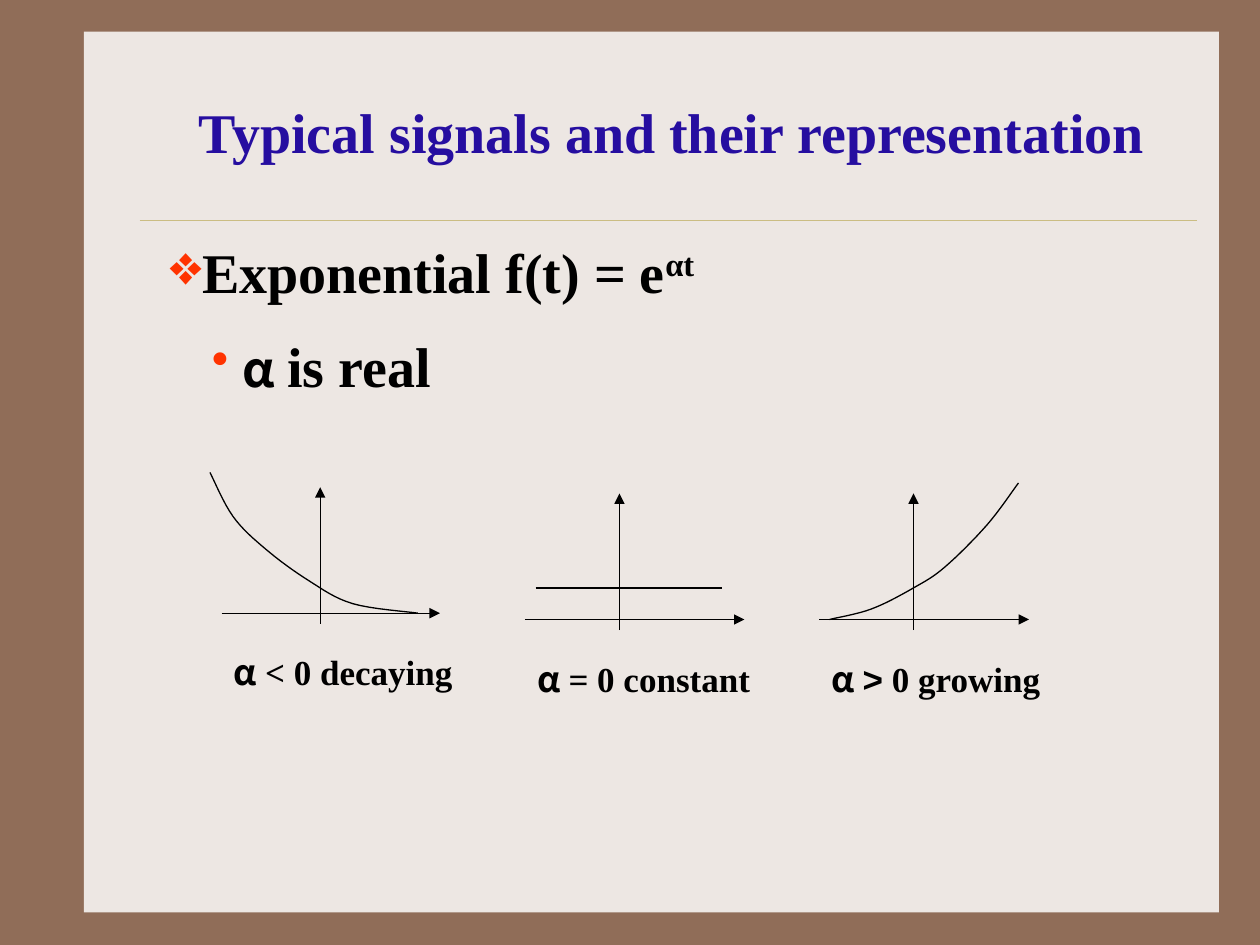
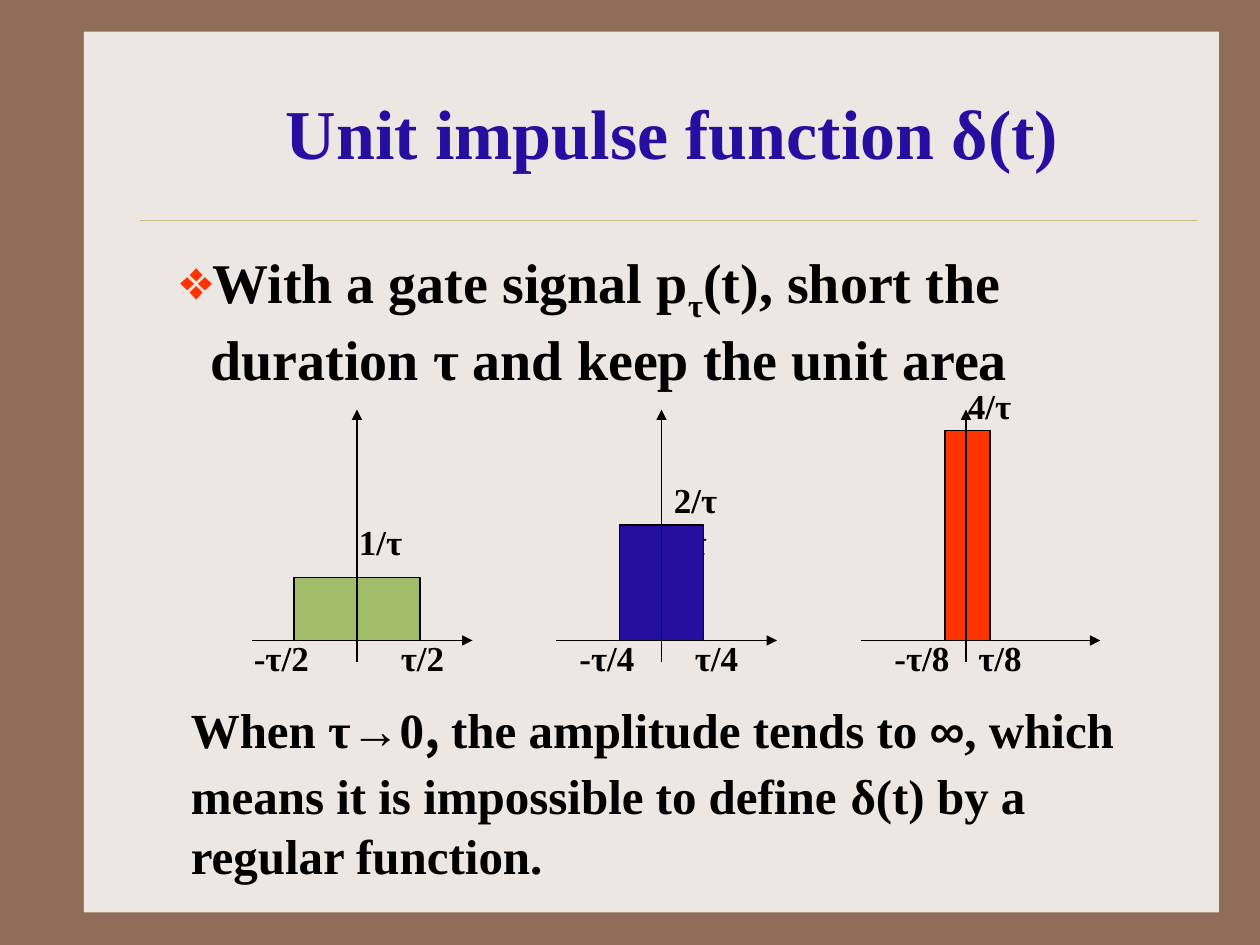
from lxml.etree import SubElement
from pptx import Presentation
from pptx.dml.color import RGBColor
from pptx.enum.shapes import MSO_CONNECTOR, MSO_SHAPE
from pptx.enum.text import MSO_ANCHOR, MSO_AUTO_SIZE, PP_ALIGN
from pptx.oxml.ns import qn
from pptx.util import Inches, Pt

# Shared style
BROWN, PAPER, GOLD = "906D58", "EDE7E3", "CBBD83"
BLUE, RED, GREEN, BLACK = "260EA0", "FF3300", "A1BD69", "000000"
SERIF, SANS = "Times New Roman", "Arial"
KOREAN, CHINESE = "Noto Sans CJK KR", "Noto Sans CJK SC"


def color(code):
    return RGBColor.from_string(code)


def unit(cells):
    """Length on a grid of 120 columns by 90 rows, 12 to the inch."""
    return Inches(cells / 12)


def bend(points, steps=8):
    """Smooth path through all points (Catmull-Rom)."""
    ends = [points[0], *points, points[-1]]
    path = [points[0]]
    for a, b, c, d in zip(ends, ends[1:], ends[2:], ends[3:]):
        for step in range(1, steps + 1):
            t = step / steps
            path.append(tuple(
                q + t / 2 * (r - p + t * (2 * p - 5 * q + 4 * r - s
                                          + t * (3 * (q - r) + s - p)))
                for p, q, r, s in zip(a, b, c, d)))
    return path


class Deck:
    def __init__(self):
        self.file = Presentation()
        self.file.slide_width, self.file.slide_height = unit(120), unit(90)

    def page(self, title, size):
        """Start a slide with its frame, rule and title."""
        self.slide = self.file.slides.add_slide(self.file.slide_layouts[6])
        fill = self.slide.background.fill
        fill.solid()
        fill.fore_color.rgb = color(BROWN)
        self.rect(8, 3, 108.1, 83.9, PAPER)
        self.line((13.3, 21), (114, 21), GOLD, 0.25)
        self.text(14, 5, 100, 15, [(title,)], size, ink=BLUE, center=True)

    def rect(self, x, y, w, h, fill, edge=None):
        box = self.slide.shapes.add_shape(
            MSO_SHAPE.RECTANGLE, unit(x), unit(y), unit(w), unit(h))
        box.shadow.inherit = False
        box.fill.solid()
        box.fill.fore_color.rgb = color(fill)
        if edge:
            self.pen(box.line, edge)
        else:
            box.line.fill.background()

    def pen(self, line, ink=BLACK, width=0.75):
        line.color.rgb = color(ink)
        line.width = Pt(width)

    def line(self, start, end, ink=BLACK, width=0.75, arrow=False):
        rule = self.slide.shapes.add_connector(
            MSO_CONNECTOR.STRAIGHT, *map(unit, start + end))
        self.pen(rule.line, ink, width)
        if arrow:
            SubElement(rule.line._get_or_add_ln(), qn("a:tailEnd"), type="triangle")
        SubElement(rule._element.spPr, qn("a:effectLst"))

    def arrow(self, start, end):
        self.line(start, end, arrow=True)

    def curve(self, points):
        path = [(unit(x), unit(y)) for x, y in bend(points)]
        maker = self.slide.shapes.build_freeform(*path[0])
        maker.add_line_segments(path[1:], close=False)
        shape = maker.convert_to_shape()
        shape.shadow.inherit = False
        shape.fill.background()
        self.pen(shape.line)

    def text(self, x, y, w, h, runs, size, ink=BLACK, before=0,
             bullet=None, center=False):
        """Runs are (text, font, size, baseline); all but text optional."""
        box = self.slide.shapes.add_textbox(unit(x), unit(y), unit(w), unit(h))
        frame = box.text_frame
        frame.word_wrap = True
        para = frame.paragraphs[0]
        if center:
            frame.vertical_anchor = MSO_ANCHOR.MIDDLE
            para.alignment = PP_ALIGN.CENTER
        else:
            frame.auto_size = MSO_AUTO_SIZE.SHAPE_TO_FIT_TEXT
        para.space_before = Pt(before)
        if bullet:
            self.mark(para, bullet)
        font = para.font
        font.name, font.size, font.bold = SERIF, Pt(size), True
        font.color.rgb = color(ink)
        for words, name, points, base in (
                (*run, None, None, None)[:4] for run in runs):
            run = para.add_run()
            run.text = words
            if name:
                run.font.name = name
            if points:
                run.font.size = Pt(points)
            if base:
                run._r.get_or_add_rPr().set("baseline", str(base * 1000))

    def mark(self, para, sign):
        props = para._p.get_or_add_pPr()
        props.set("marL", str(Inches(0.24)))
        props.set("indent", str(-Inches(0.24)))
        ink = SubElement(props, qn("a:buClr"))
        SubElement(ink, qn("a:srgbClr"), val=RED)
        SubElement(props, qn("a:buChar"), char=sign)

    def label(self, x, y, *runs, w=12):
        self.text(x, y, w, 5.3, runs, 20, before=12.5)


def signals(deck):
    deck.page("Typical signals and their representation", 32)
    deck.text(15, 22, 98, 7.7, [("Exponential f(t) = e",), ("αt", None, None, 30)],
              32, before=8, bullet="❖")
    deck.text(19, 31, 77, 7.7, [("α", KOREAN, 28), (" ", KOREAN), ("is real",)],
              32, before=8, bullet="•")

    # Axes and captions: left, right, base, middle, caption
    plots = [
        (21.1, 41.9, 58.4, 30.5, [("< 0 decaying",)]),
        (50, 70.9, 59, 59, [("= 0 constant",)]),
        (78, 98, 59, 87, [(">", SANS), (" 0 growing",)]),
    ]
    for left, right, base, mid, note in plots:
        deck.arrow((left, base), (right, base))
        deck.arrow((mid, base + 1), (mid, base - 12))
        deck.label(left, base + 3, ("α ", KOREAN), *note, w=24)

    # Signal curves
    deck.curve([(39.8, 58.4), (33.6, 57.5), (29.4, 55.3),
                (25.3, 52.3), (22.2, 49.2), (20, 45)])
    deck.line((51, 56), (68.8, 56))
    deck.curve([(79, 59), (83, 58), (87, 56), (90, 54), (94, 50), (97, 46)])


def impulse(deck):
    deck.page("Unit impulse function δ(t)", 40)
    deck.text(16, 23, 97, 14.9, [
        ("With a gate signal p",), ("τ", None, None, -25),
        ("(t), short the duration τ and keep the unit area",)],
        32, before=8, bullet="❖")
    deck.text(17, 66, 93, 18.8, [
        ("When τ",), ("→", SANS), ("0",), (", ", CHINESE),
        ("the amplitude tends to ",), ("∞", SANS),
        (", which means it is impossible to define",), (" ", None, 32),
        ("δ(t) by a regular function.",)], 28, before=17.5)

    # Gates: middle, axis end, bar (left, width, height, fill),
    # edge labels (text, left and right column), heights (text, column, row)
    base = 61
    gates = [
        (34, 45, (28, 12, 6, GREEN), ("τ/2", 23, 37), [("1/τ", 33, 49)]),
        (63, 74, (59, 8, 11, BLUE), ("τ/4", 54, 65),
         [("1/τ", 62, 49), ("2/τ", 63, 45)]),
        (92, 104.8, (90, 4.3, 20, RED), ("τ/8", 84, 92), [("4/τ", 91, 36)]),
    ]
    for mid, end, (left, wide, high, fill), (half, minus, plus), tops in gates:
        deck.arrow((mid - 10, base), (end, base))
        deck.label(minus, base - 1, ("-" + half,))
        deck.label(plus, base - 1, (half,))
        for words, x, y in tops:
            deck.label(x, y, (words,))
        deck.rect(left, base - high, wide, high, fill, BLACK)
        deck.arrow((mid, base + 2), (mid, base - 22))


def main():
    deck = Deck()
    signals(deck)
    impulse(deck)
    deck.file.save("out.pptx")


if __name__ == "__main__":
    main()
